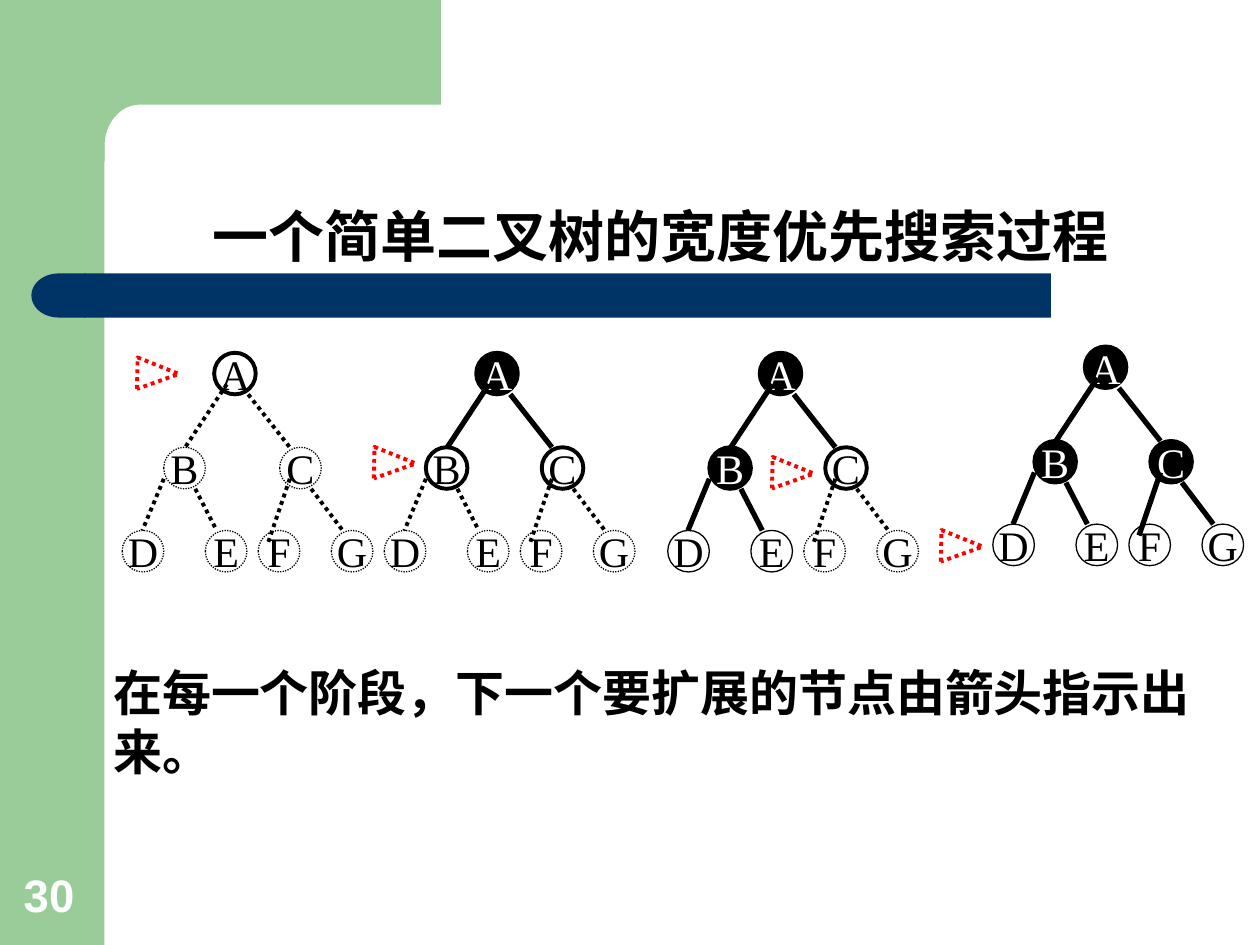
import math
from dataclasses import dataclass

from lxml import etree
from pptx import Presentation
from pptx import util as u
from pptx.dml.color import RGBColor
from pptx.enum import dml, shapes, text
from pptx.oxml.ns import qn


@dataclass(frozen=True)
class Theme:
    green: str = "99CC99"
    navy: str = "003366"
    black: str = "000000"
    white: str = "FFFFFF"
    red: str = "FF0000"
    heading_font: str = "Comic Neue"
    node_font: str = "Times New Roman"
    number_font: str = "Arial"
    title_size: int = 32
    body_size: int = 28
    number_size: int = 26
    node_size: int = 24
    thin: float = 0.75
    medium: float = 2.25
    thick: float = 3


NODE_SIZE = 0.33
NODES = {
    "A": (0.73, 0), "B": (0.33, 0.75), "F": (1.08, 1.41), "C": (1.25, 0.75),
    "G": (1.66, 1.41), "E": (0.66, 1.41), "D": (0, 1.41),
}
PARENTS = {"B": "A", "C": "A", "D": "B", "E": "B", "F": "C", "G": "C"}
EDGES = {
    "B": (0.83, 0.25, 0.5, 0.75), "C": (1, 0.33, 1.33, 0.75),
    "D": (0.33, 1, 0.16, 1.41), "E": (0.58, 1.08, 0.75, 1.41),
    "F": (1.33, 1, 1.16, 1.5), "G": (1.5, 1.08, 1.75, 1.41),
}
STAGES = [
    ("", (0.97, 2.8), (1.13, 2.8)),
    ("A", (3.05, 2.8), (3.01, 3.51)),
    ("AB", (5.3, 2.8), (6.17, 3.59)),
    ("ABC", (7.88, 2.75), (7.51, 4.17)),
]


class SlideBuilder:
    def __init__(self, page, theme):
        self.page = page
        self.theme = theme

    def fill(self, shape, color):
        shape.shadow.inherit = False
        if color:
            shape.fill.solid()
            shape.fill.fore_color.rgb = RGBColor.from_string(color)
        else:
            shape.fill.background()

    def stroke(self, line, color, width, dotted):
        line.color.rgb = RGBColor.from_string(color)
        line.width = u.Pt(width)
        if dotted:
            line.dash_style = dml.MSO_LINE.ROUND_DOT

    def set_text(self, frame, words, font, size, color, bold, align):
        para = frame.paragraphs[0]
        para.text = words
        para.alignment = align
        para.font.name = font
        para.font.size = u.Pt(size)
        para.font.bold = bold
        para.font.color.rgb = RGBColor.from_string(color)

    def block(self, kind, left, top, width, height, color):
        shape = self.page.shapes.add_shape(
            kind, *map(u.Inches, (left, top, width, height)))
        self.fill(shape, color)
        shape.line.fill.background()
        return shape

    def corner(self):
        arc = [(1.11 - 0.28 * math.sin(angle), 1.16 - 0.33 * math.cos(angle))
               for angle in (math.pi / 2 * step / 12 for step in range(13))]
        points = [(3.5, 0.83), *arc, (0.83, 1.28), (0.5, 1.28), (0.5, 0)]
        builder = self.page.shapes.build_freeform(
            u.Inches(3.5), 0, scale=1.0)
        builder.add_line_segments(
            [(u.Inches(x), u.Inches(y)) for x, y in points], close=True)
        shape = builder.convert_to_shape()
        self.fill(shape, self.theme.green)
        shape.line.fill.background()

    def label(self, words, left, top, width, height, font, size, color,
              align=text.PP_ALIGN.LEFT, anchor=text.MSO_ANCHOR.TOP):
        box = self.page.shapes.add_textbox(
            *map(u.Inches, (left, top, width, height)))
        frame = box.text_frame
        frame.word_wrap = True
        frame.vertical_anchor = anchor
        self.set_text(frame, words, font, size, color, True, align)

    def node(self, group, name, left, top, expanded, reached):
        theme = self.theme
        size = u.Inches(NODE_SIZE)
        shape = group.shapes.add_shape(
            shapes.MSO_SHAPE.OVAL, u.Inches(left), u.Inches(top), size, size)
        self.fill(shape, theme.black if expanded else None)
        heavy = reached and name in "ABC"
        self.stroke(shape.line, theme.black,
                    theme.medium if heavy else theme.thin, not reached)
        frame = shape.text_frame
        frame.word_wrap = False
        frame.vertical_anchor = text.MSO_ANCHOR.MIDDLE
        self.set_text(frame, name, theme.node_font, theme.node_size,
                      theme.white if expanded else theme.black, False,
                      text.PP_ALIGN.CENTER)

    def pointer(self, group, left, top):
        shape = group.shapes.add_shape(
            shapes.MSO_SHAPE.FLOWCHART_MERGE,
            *map(u.Inches, (left, top, 0.25, 0.33)))
        shape.rotation = 271.1
        self.fill(shape, None)
        self.stroke(shape.line, self.theme.red, self.theme.medium, True)

    def edge(self, group, ends, reached):
        line = group.shapes.add_connector(
            shapes.MSO_CONNECTOR.STRAIGHT, *map(u.Inches, ends))
        width = self.theme.thick if reached else self.theme.medium
        self.stroke(line.line, self.theme.black, width, not reached)
        etree.SubElement(line._element.spPr, qn("a:effectLst"))

    def tree(self, expanded, origin, arrow):
        group = self.page.shapes.add_group_shape()
        x, y = origin
        reached = {name for name in NODES
                   if name == "A" or PARENTS[name] in expanded}
        for name, (left, top) in NODES.items():
            self.node(group, name, x + left, y + top,
                      name in expanded, name in reached)
        self.pointer(group, *arrow)
        for child, (x1, y1, x2, y2) in EDGES.items():
            self.edge(group, (x + x1, y + y1, x + x2, y + y2),
                      child in reached)


def main():
    deck = Presentation()
    deck.slide_width, deck.slide_height = u.Inches(10), u.Inches(7.5)
    theme = Theme()
    slide = SlideBuilder(deck.slides.add_slide(deck.slide_layouts[6]), theme)

    slide.block(shapes.MSO_SHAPE.RECTANGLE, 0, 0, 0.83, 7.5, theme.green)
    slide.corner()
    bar = slide.block(shapes.MSO_SHAPE.ROUNDED_RECTANGLE,
                      0.67, 2.17, 7.67, 0.35, theme.navy)
    bar.adjustments[0] = 0
    cap = slide.block(shapes.MSO_SHAPE.FLOWCHART_DELAY,
                      0.25, 2.17, 0.43, 0.35, theme.navy)
    cap._element.spPr.find(qn("a:xfrm")).set("flipH", "1")

    slide.label("30", 0.09, 6.83, 0.64, 0.53, theme.number_font,
                theme.number_size, theme.white,
                anchor=text.MSO_ANCHOR.BOTTOM)
    slide.label("一个简单二叉树的宽度优先搜索过程", 1.47, 1.55, 7.55, 0.63,
                theme.heading_font, theme.title_size, theme.black,
                align=text.PP_ALIGN.CENTER)
    for expanded, origin, arrow in STAGES:
        slide.tree(expanded, origin, arrow)
    slide.label("在每一个阶段，下一个要扩展的节点由箭头指示出来。",
                0.8, 5.21, 8.75, 1.03,
                theme.heading_font, theme.body_size, theme.black)
    deck.save("out.pptx")


if __name__ == "__main__":
    main()
